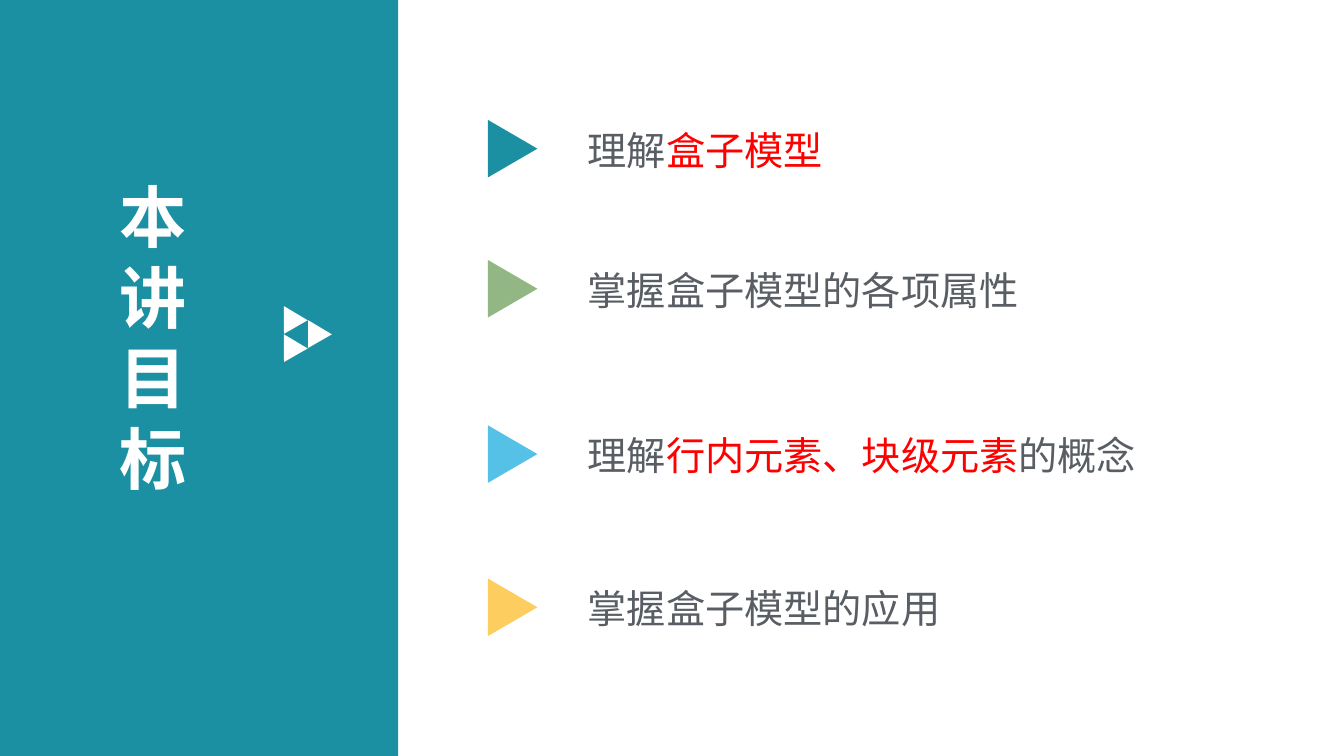
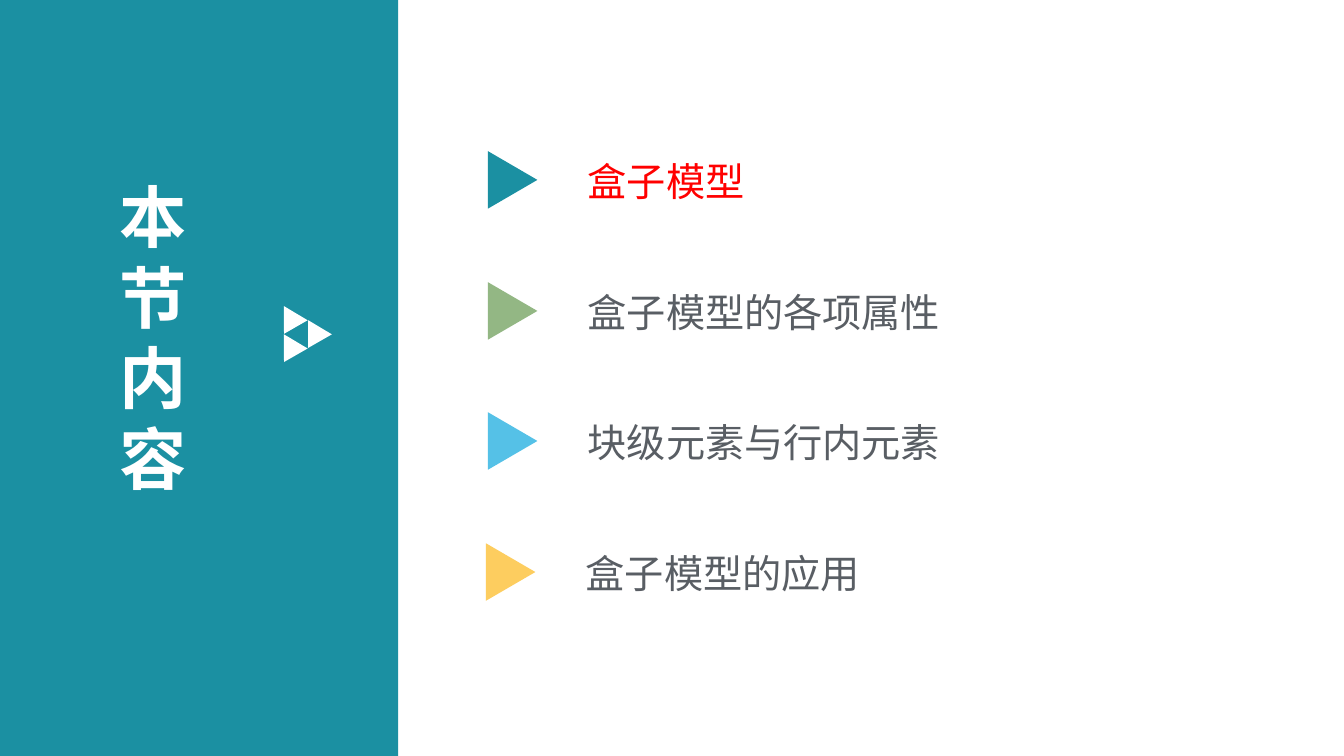
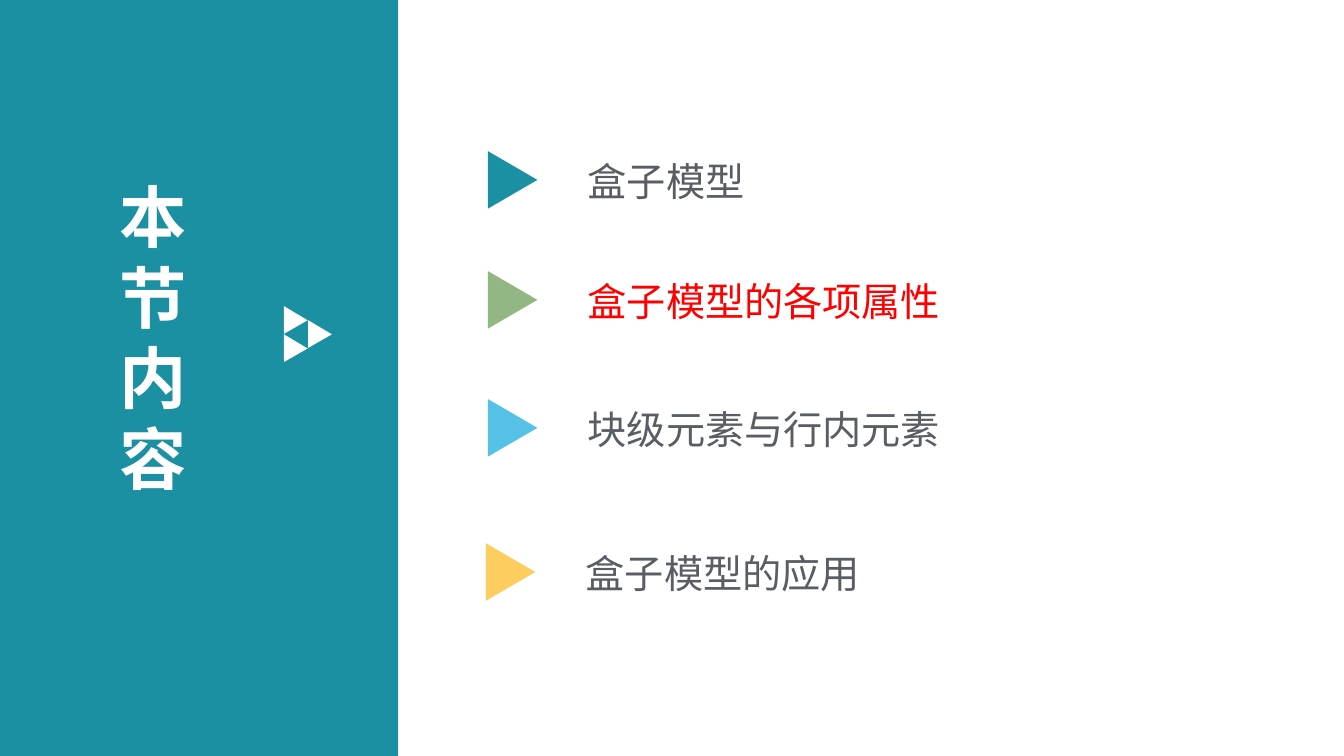
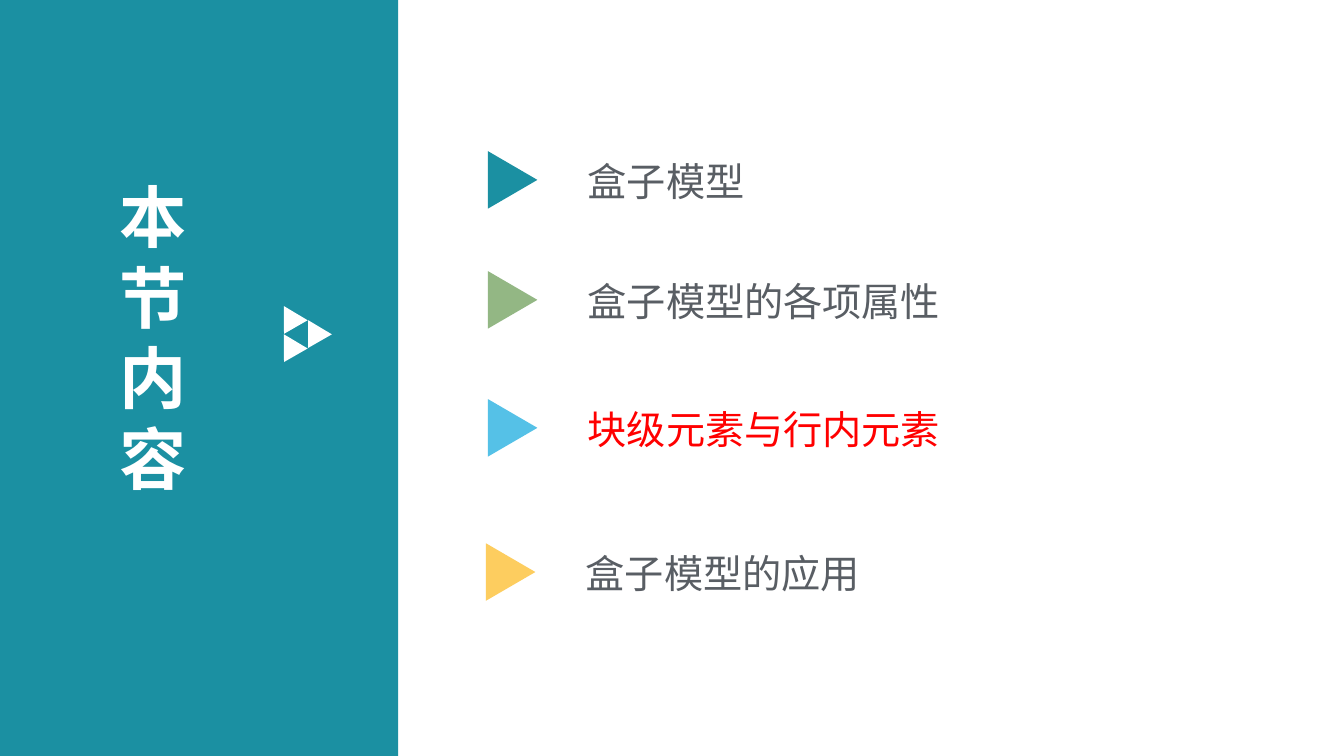
from lxml.etree import SubElement
from pptx import Presentation
from pptx.dml.color import RGBColor
from pptx.enum.shapes import MSO_SHAPE
from pptx.enum.text import MSO_AUTO_SIZE
from pptx.oxml.ns import qn
from pptx.util import Inches, Pt

# Shared style
FONT = "Noto Sans CJK SC"
TEAL, WHITE, GREY, RED = "1B90A2", "FFFFFF", "595E64", "FF0000"
MARKER_COLOURS = [TEAL, "93B784", "55C1E7", "FDCD5F"]
SLIDE_W, SLIDE_H = 13.33, 7.5
PANEL_W = 3.95
ROW_H = 0.59
MARKER_W, MARKER_H = 0.57, 0.49


def colour(hex_code):
    return RGBColor.from_string(hex_code)


def add_solid(slide, preset, box, fill, rotation=0):
    solid = slide.shapes.add_shape(preset, *map(Inches, box))
    solid.shadow.inherit = False
    solid.fill.solid()
    solid.fill.fore_color.rgb = colour(fill)
    solid.line.fill.background()
    solid.rotation = rotation


def add_text(slide, paragraphs, box, size, bold=False):
    """Each paragraph is a list of (text, colour) runs."""
    holder = slide.shapes.add_textbox(*map(Inches, box))
    frame = holder.text_frame
    frame.word_wrap = True
    frame.auto_size = MSO_AUTO_SIZE.SHAPE_TO_FIT_TEXT
    frame.margin_left = frame.margin_right = Inches(0.12)
    frame.margin_top = frame.margin_bottom = Inches(0.06)
    for index, runs in enumerate(paragraphs):
        paragraph = frame.add_paragraph() if index else frame.paragraphs[0]
        for words, run_colour in runs:
            run = paragraph.add_run()
            run.text = words
            run.font.size = Pt(size)
            run.font.bold = bold
            run.font.name = FONT
            run.font.color.rgb = colour(run_colour)
            # East Asian characters take their own typeface
            SubElement(run.font._element, qn("a:ea"), typeface=FONT)


def add_title_panel(slide, title, left=0, top=0):
    add_solid(slide, MSO_SHAPE.RECTANGLE, (left, top, PANEL_W, SLIDE_H), TEAL)
    # Title, one character a line
    add_text(slide, [[(character, WHITE)] for character in title],
             (left + 1.07, top + 1.68, 1.74, 3.35), 48, bold=True)
    # Arrow made of three small triangles
    for dx, dy in [(0, 0), (0, 0.28), (0.24, 0.14)]:
        add_solid(slide, MSO_SHAPE.ISOSCELES_TRIANGLE,
                  (left + 2.74 + dx, top + 3.02 + dy, 0.27, 0.24), WHITE, 330.2)


def add_topic(slide, runs, marker_colour, left, top, width):
    add_solid(slide, MSO_SHAPE.ISOSCELES_TRIANGLE,
              (left, top + 0.04, MARKER_W, MARKER_H), marker_colour, 90)
    add_text(slide, [runs], (left + 0.91, top, width, ROW_H), 28)


def add_topic_slide(deck, title, topics, tops, lefts, width):
    slide = deck.slides.add_slide(deck.slide_layouts[6])
    add_title_panel(slide, title)
    for runs, marker_colour, left, top in zip(topics, MARKER_COLOURS, lefts, tops):
        add_topic(slide, runs, marker_colour, left, top, width)


def main():
    deck = Presentation()
    deck.slide_width, deck.slide_height = Inches(SLIDE_W), Inches(SLIDE_H)

    # Goals of the lecture
    goals = [
        [("理解", GREY), ("盒子模型", RED)],
        [("掌握盒子模型的各项属性", GREY)],
        [("理解", GREY), ("行内元素、块级元素", RED), ("的概念", GREY)],
        [("掌握盒子模型的应用", GREY)],
    ]
    add_topic_slide(deck, "本讲目标", goals, [1.19, 2.58, 4.22, 5.74],
                    [4.8] * 4, 7.42)

    # Contents, with the current section in red
    sections = ["盒子模型", "盒子模型的各项属性", "块级元素与行内元素", "盒子模型的应用"]
    even_tops = [1.5, 2.8, 4.09, 5.39]
    uneven_tops = [1.5, 2.69, 3.96, 5.39]
    for current, tops in enumerate([even_tops, uneven_tops, uneven_tops]):
        topics = [[(section, RED if index == current else GREY)]
                  for index, section in enumerate(sections)]
        add_topic_slide(deck, "本节内容", topics, tops,
                        [4.8, 4.8, 4.8, 4.78], 6.83)

    deck.save("out.pptx")


if __name__ == "__main__":
    main()
